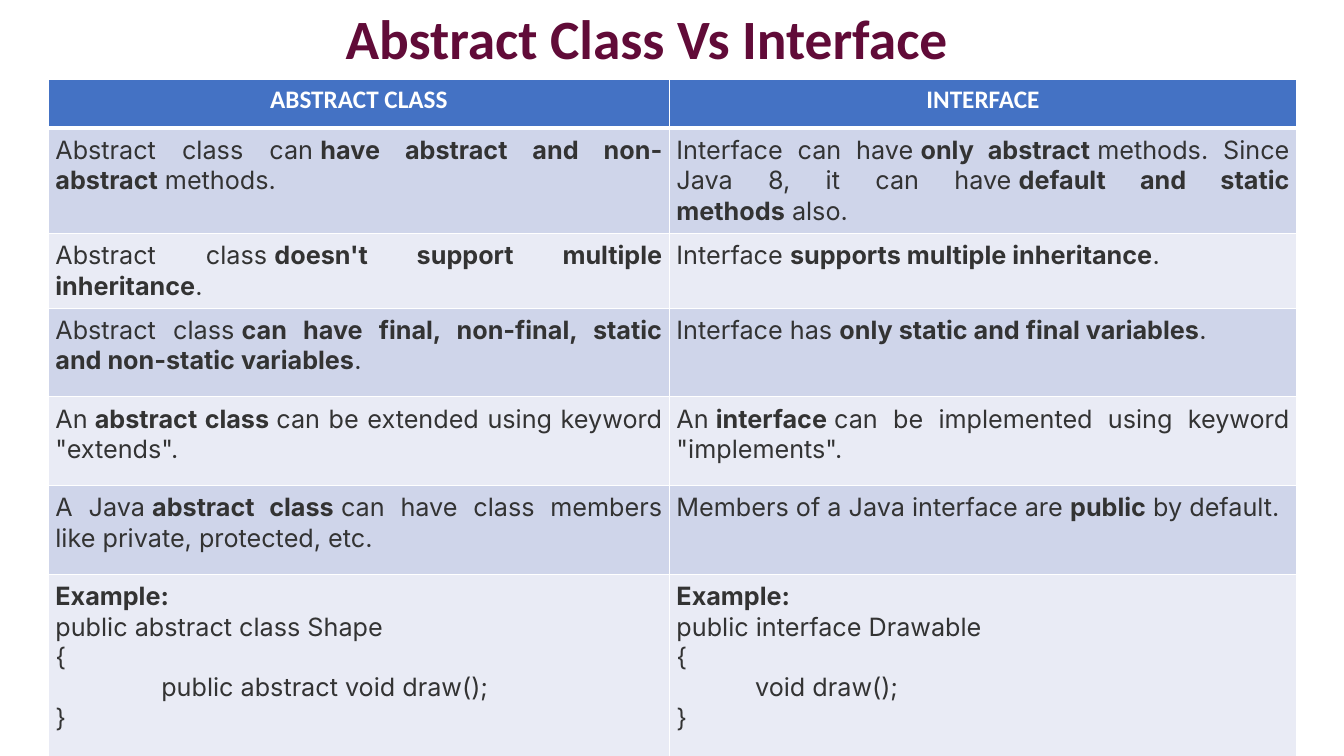
from lxml import etree
from pptx import Presentation
from pptx.dml.color import RGBColor
from pptx.enum.text import MSO_ANCHOR, PP_ALIGN
from pptx.oxml.ns import qn
from pptx.util import Inches, Pt

# Content: ** toggles bold, ~ is a no-break space
TITLE = "Abstract Class Vs Interface"
HEADERS = ("ABSTRACT CLASS", "INTERFACE")
COMPARISONS = [
    ("Abstract class can~**have abstract and non-abstract**~methods.",
     "Interface can have~**only abstract**~methods. Since Java 8, it can have~"
     "**default and static methods**~also."),
    ("Abstract class~**doesn't support multiple inheritance**.",
     "Interface~**supports multiple inheritance**."),
    ("Abstract class~**can have final, non-final, static and non-static variables**.",
     "Interface has~**only static and final variables**."),
    ("An~**abstract class**~can be extended using keyword \"extends\".",
     "An~**interface**~can be implemented using keyword \"implements\"."),
    ("A Java~**abstract class**~can have class members like private, protected, etc.",
     "Members of a Java interface are **public** by default."),
]
# Code examples: declaration, body, body indent in inches
EXAMPLES = [
    ("public abstract class Shape", "public abstract void draw();", 1.05),
    ("public interface Drawable", "void draw();", 0.78),
]

THEME = dict(
    title="610B38", header="4472C4", bands=("CFD5EA", "E9EBF5"),
    text="333333", white="FFFFFF", head_font="Calibri", body_font="Inter",
    title_size=39.6, text_size=18, rule=1, header_rule=3,
)
SLIDE_W, SLIDE_H = 13.33, 7.5
TITLE_BOX = (0.43, 0.04, 11.97, 0.74)
TABLE_LEFT, TABLE_TOP = 0.48, 0.79
COLUMNS = (6.16, 6.22)
ROWS = (0.48, 0.88, 0.52, 0.88, 0.88, 0.88, 1.95)
CELL_INSET = 0.07


def write(paragraph, marked, font, size, color, align):
    """Fill a paragraph, switching bold at each ** mark."""
    paragraph.alignment = align
    for i, part in enumerate(marked.replace("~", "\u00a0").split("**")):
        if part:
            run = paragraph.add_run()
            run.text = part
            run.font.name, run.font.size = font, Pt(size)
            run.font.bold = i % 2 == 1
            run.font.color.rgb = RGBColor.from_string(color)


def write_body(paragraph, marked, align):
    write(paragraph, marked, THEME["body_font"], THEME["text_size"], THEME["text"], align)


def paint(cell, color, top, bottom):
    """Set the cell's fill and its four white borders."""
    cell.fill.solid()
    cell.fill.fore_color.rgb = RGBColor.from_string(color)
    widths = dict(lnL=THEME["rule"], lnR=THEME["rule"], lnT=top, lnB=bottom)
    properties = cell._tc.get_or_add_tcPr()
    for place, (side, width) in enumerate(widths.items()):
        line = etree.Element(qn("a:" + side), w=str(Pt(width)))
        fill = etree.SubElement(line, qn("a:solidFill"))
        etree.SubElement(fill, qn("a:srgbClr"), val=THEME["white"])
        properties.insert(place, line)


prs = Presentation()
prs.slide_width, prs.slide_height = Inches(SLIDE_W), Inches(SLIDE_H)
slide = prs.slides.add_slide(prs.slide_layouts[5])

# Title
title = slide.shapes.title
title.left, title.top, title.width, title.height = map(Inches, TITLE_BOX)
title.text_frame.vertical_anchor = MSO_ANCHOR.MIDDLE
heading = title.text_frame.paragraphs[0]
heading.line_spacing = 0.9
write(heading, f"**{TITLE}**", THEME["head_font"], THEME["title_size"],
      THEME["title"], PP_ALIGN.CENTER)

# Table grid
table = slide.shapes.add_table(
    len(ROWS), len(COLUMNS), Inches(TABLE_LEFT), Inches(TABLE_TOP),
    Inches(sum(COLUMNS)), Inches(sum(ROWS))).table
for column, width in zip(table.columns, COLUMNS):
    column.width = Inches(width)
for r, (row, height) in enumerate(zip(table.rows, ROWS)):
    row.height = Inches(height)
    for cell in row.cells:
        paint(cell, THEME["bands"][(r - 1) % 2] if r else THEME["header"],
              THEME["header_rule"] if r == 1 else THEME["rule"],
              THEME["header_rule"] if r == 0 else THEME["rule"])
        if r:
            cell.margin_left = cell.margin_right = Inches(CELL_INSET)
            cell.margin_top = cell.margin_bottom = Inches(CELL_INSET)

# Header row
for c, text in enumerate(HEADERS):
    write(table.cell(0, c).text_frame.paragraphs[0], f"**{text}**", THEME["head_font"],
          THEME["text_size"], THEME["white"], PP_ALIGN.CENTER)

# Comparison rows
for r, pair in enumerate(COMPARISONS, start=1):
    for c, text in enumerate(pair):
        write_body(table.cell(r, c).text_frame.paragraphs[0], text, PP_ALIGN.JUSTIFY)

# Example row
for c, (declaration, body, indent) in enumerate(EXAMPLES):
    frame = table.cell(len(ROWS) - 1, c).text_frame
    for i, text in enumerate(("**Example:**", declaration, "{", body, "}")):
        paragraph = frame.add_paragraph() if i else frame.paragraphs[0]
        write_body(paragraph, text, PP_ALIGN.LEFT)
        if text == body:
            paragraph._p.get_or_add_pPr().set("marL", str(Inches(indent)))

prs.save("out.pptx")
